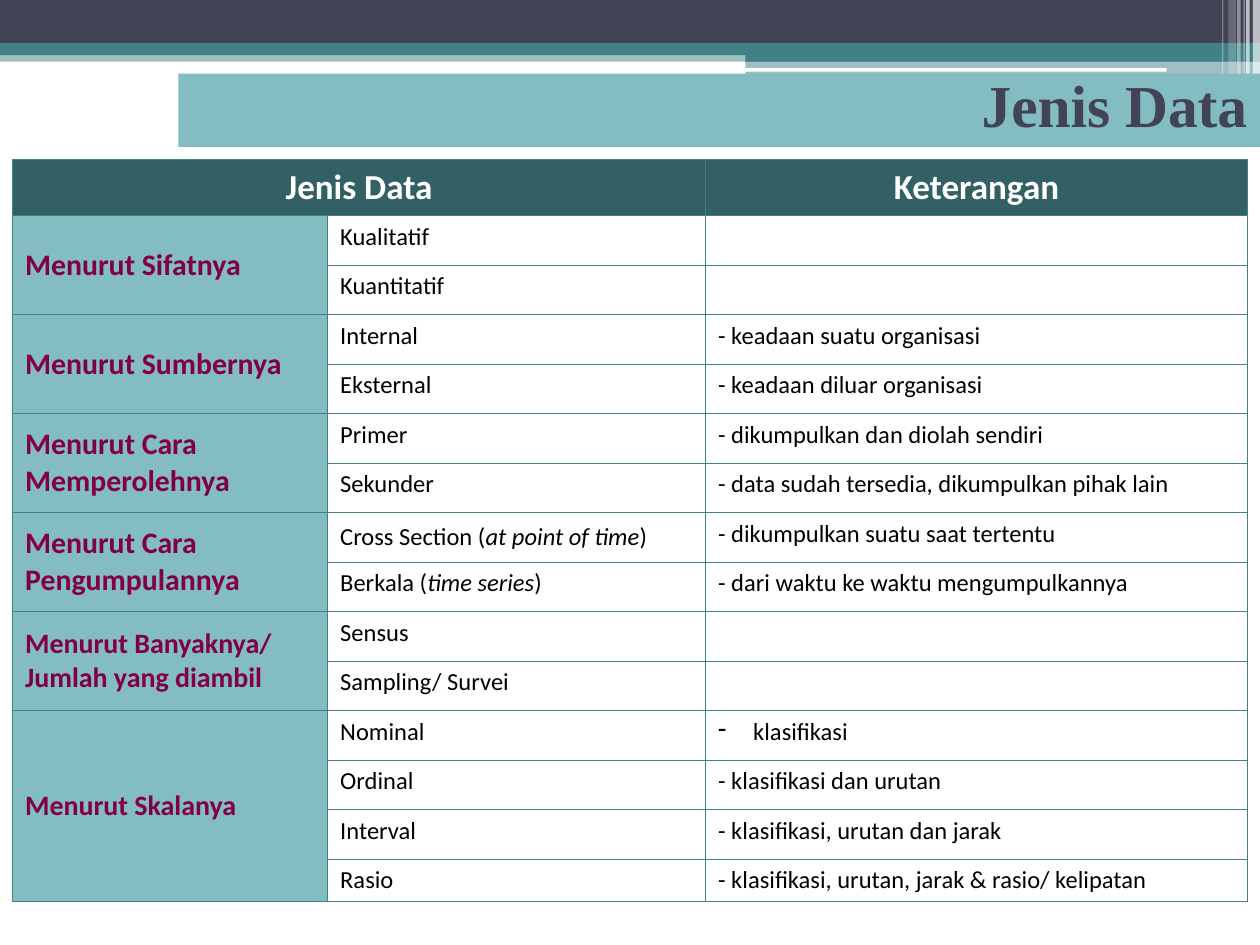
from dataclasses import dataclass

from lxml import etree
from pptx import Presentation
from pptx import util as u
from pptx.dml.color import RGBColor
from pptx.enum import shapes, text
from pptx.oxml import ns


@dataclass(frozen=True)
class Theme:
    slate: str = "424456"
    teal: str = "438086"
    dark_teal: str = "326064"
    light_teal: str = "83BCC1"
    wine: str = "820041"
    white: str = "FFFFFF"
    black: str = "000000"
    body_font: str = "Calibri"
    title_font: str = "Times New Roman"
    title_size: int = 34
    header_size: int = 20
    group_size: int = 17
    small_group_size: int = 16
    body_size: int = 14
    line: float = 0.45
    heavy_line: float = 0.96


# Group name, then its kinds with their descriptions; *...* marks italics.
GROUPS = [
    ("Menurut Sifatnya", [("Kualitatif", ""), ("Kuantitatif", "")]),
    ("Menurut Sumbernya", [
        ("Internal", "- keadaan suatu organisasi"),
        ("Eksternal", "- keadaan diluar organisasi")]),
    ("Menurut Cara Memperolehnya", [
        ("Primer", "- dikumpulkan dan diolah sendiri"),
        ("Sekunder", "- data sudah tersedia, dikumpulkan pihak lain")]),
    ("Menurut Cara Pengumpulannya", [
        ("Cross Section (*at point of time*)", "- dikumpulkan suatu saat tertentu"),
        ("Berkala (*time series*)", "- dari waktu ke waktu mengumpulkannya")]),
    ("Menurut Banyaknya/ Jumlah yang diambil", [("Sensus", ""), ("Sampling/ Survei", "")]),
    ("Menurut Skalanya", [
        ("Nominal", "klasifikasi"),
        ("Ordinal", "- klasifikasi dan urutan"),
        ("Interval", "- klasifikasi, urutan dan jarak"),
        ("Rasio", "- klasifikasi, urutan, jarak & rasio/ kelipatan")]),
]
SMALL_GROUPS = {name for name, _ in GROUPS[-2:]}

COLUMN_WIDTHS = [180, 216, 309.6]
HEADER_HEIGHT, ROW_HEIGHT, LAST_HEIGHT = 31.9, 28.3, 24.4


def write(frame, words, *, font, size, color, bold=False, align=None, spacing=None, bullet=None):
    """Fill the first paragraph of a frame; parts between asterisks become italic."""
    para = frame.paragraphs[0]
    if bullet:
        properties = para._p.get_or_add_pPr()
        properties.set("marL", str(u.Pt(20)))
        properties.set("indent", str(-u.Pt(20)))
        etree.SubElement(properties, ns.qn("a:buChar"), char=bullet)
    if align is not None:
        para.alignment = align
    if spacing:
        para.line_spacing = spacing
    for index, part in enumerate(words.split("*")):
        if part:
            span = para.add_run()
            span.text = part
            span.font.name = font
            span.font.size = u.Pt(size)
            span.font.bold = bold
            span.font.italic = index % 2 == 1
            span.font.color.rgb = RGBColor.from_string(color)
    if not words:
        etree.SubElement(para._p, ns.qn("a:endParaRPr"), sz=str(size * 100))


class SlideBuilder:
    def __init__(self, page, theme):
        self.page = page
        self.theme = theme

    def band(self, left, top, width, height, color, opacity=100, kind=shapes.MSO_SHAPE.RECTANGLE):
        box = self.page.shapes.add_shape(kind, *map(u.Pt, (left, top, width, height)))
        box.shadow.inherit = False
        box.line.fill.background()
        box.fill.solid()
        box.fill.fore_color.rgb = RGBColor.from_string(color)
        if opacity < 100:
            tint = box._element.spPr.find(".//" + ns.qn("a:srgbClr"))
            etree.SubElement(tint, ns.qn("a:alpha"), val=str(opacity * 1000))

    def title(self, words, left, top, width, height):
        box = self.page.shapes.title
        box.left, box.top, box.width, box.height = map(u.Pt, (left, top, width, height))
        box.fill.solid()
        box.fill.fore_color.rgb = RGBColor.from_string(self.theme.light_teal)
        frame = box.text_frame
        frame.auto_size = text.MSO_AUTO_SIZE.NONE
        frame.word_wrap = True
        frame.vertical_anchor = text.MSO_ANCHOR.MIDDLE
        write(frame, words, font=self.theme.title_font, size=self.theme.title_size,
              color=self.theme.slate, bold=True, align=text.PP_ALIGN.RIGHT, spacing=0.8)
        self.page.shapes._spTree.append(box._element)  # bring to front

    def table(self, left, top, widths, heights):
        frame = self.page.shapes.add_table(
            len(heights), len(widths), *map(u.Pt, (left, top, sum(widths), sum(heights))))
        table = frame.table
        table.first_row = table.horz_banding = False
        for column, width in zip(table.columns, widths):
            column.width = u.Pt(width)
        for row, height in zip(table.rows, heights):
            row.height = u.Pt(height)
        return table

    def borders(self, cell, **widths):
        """Draw all four sides; widths such as lnB=1 override the normal line."""
        properties = cell._tc.get_or_add_tcPr()
        for side in ("lnL", "lnR", "lnT", "lnB"):
            width = widths.get(side, self.theme.line)
            line = etree.SubElement(properties, ns.qn("a:" + side), w=str(u.Pt(width)))
            fill = etree.SubElement(line, ns.qn("a:solidFill"))
            etree.SubElement(fill, ns.qn("a:srgbClr"), val=self.theme.teal)

    def cell(self, table, row, column, words="", fill=None, middle=False, **style):
        cell = table.cell(row, column)
        heavy = {0: {"lnB": self.theme.heavy_line}, 1: {"lnT": self.theme.heavy_line}}
        self.borders(cell, **heavy.get(row, {}))
        if fill:
            cell.fill.solid()
            cell.fill.fore_color.rgb = RGBColor.from_string(fill)
        else:
            cell.fill.background()
        if middle:
            cell.vertical_anchor = text.MSO_ANCHOR.MIDDLE
        defaults = {"font": self.theme.body_font, "size": self.theme.body_size,
                    "color": self.theme.black}
        write(cell.text_frame, words, **{**defaults, **style})


def draw_bands(builder):
    theme = builder.theme
    builder.band(0, 28.8, 720, 6.5, theme.teal, 50)
    builder.band(0, 0, 720, 24.5, theme.slate)
    builder.band(0, 24.5, 720, 7, theme.teal)
    builder.band(426, 28, 294, 7.2, theme.teal)
    builder.band(426, 34.8, 294, 14.2, theme.teal, 50)
    builder.band(425.5, 38.9, 241.2, 2.1, theme.white, kind=shapes.MSO_SHAPE.ROUNDED_RECTANGLE)
    stripes = [(715.9, 4.1, 49, 65), (712.1, 2.1, 49, 65), (710.6, 0.7, 49, 60),
               (707, 2, 49, 40), (702, 4.3, 46, 20), (698.4, 0.7, 46, 30)]
    for left, width, height, opacity in stripes:
        builder.band(left, 0, width, height, theme.white, opacity)


def draw_table(builder):
    theme = builder.theme
    count = sum(len(kinds) for _, kinds in GROUPS)
    heights = [HEADER_HEIGHT] + [ROW_HEIGHT] * (count - 1) + [LAST_HEIGHT]
    table = builder.table(7.2, 91.2, COLUMN_WIDTHS, heights)

    header = {"fill": theme.dark_teal, "size": theme.header_size, "color": theme.white,
              "bold": True, "align": text.PP_ALIGN.CENTER, "middle": True}
    for column, words in enumerate(["Jenis Data", "", "Keterangan"]):
        builder.cell(table, 0, column, words, **header)
    table.cell(0, 0).merge(table.cell(0, 1))

    row = 1
    for name, kinds in GROUPS:
        first = row
        size = theme.small_group_size if name in SMALL_GROUPS else theme.group_size
        for kind, description in kinds:
            if row == first:
                builder.cell(table, row, 0, name, fill=theme.light_teal, middle=True,
                             size=size, color=theme.wine, bold=True)
            else:
                builder.cell(table, row, 0, fill=theme.light_teal)
            builder.cell(table, row, 1, kind, middle=kind.startswith("Cross"))
            builder.cell(table, row, 2, description, bullet="-" if kind == "Nominal" else None)
            row += 1
        table.cell(first, 0).merge(table.cell(row - 1, 0))


def main():
    deck = Presentation()
    deck.slide_width, deck.slide_height = u.Pt(720), u.Pt(540)
    page = deck.slides.add_slide(deck.slide_layouts.get_by_name("Title Only"))
    builder = SlideBuilder(page, Theme())
    draw_bands(builder)
    draw_table(builder)
    builder.title("Jenis Data", 102, 42, 618, 42)
    deck.save("out.pptx")


if __name__ == "__main__":
    main()
